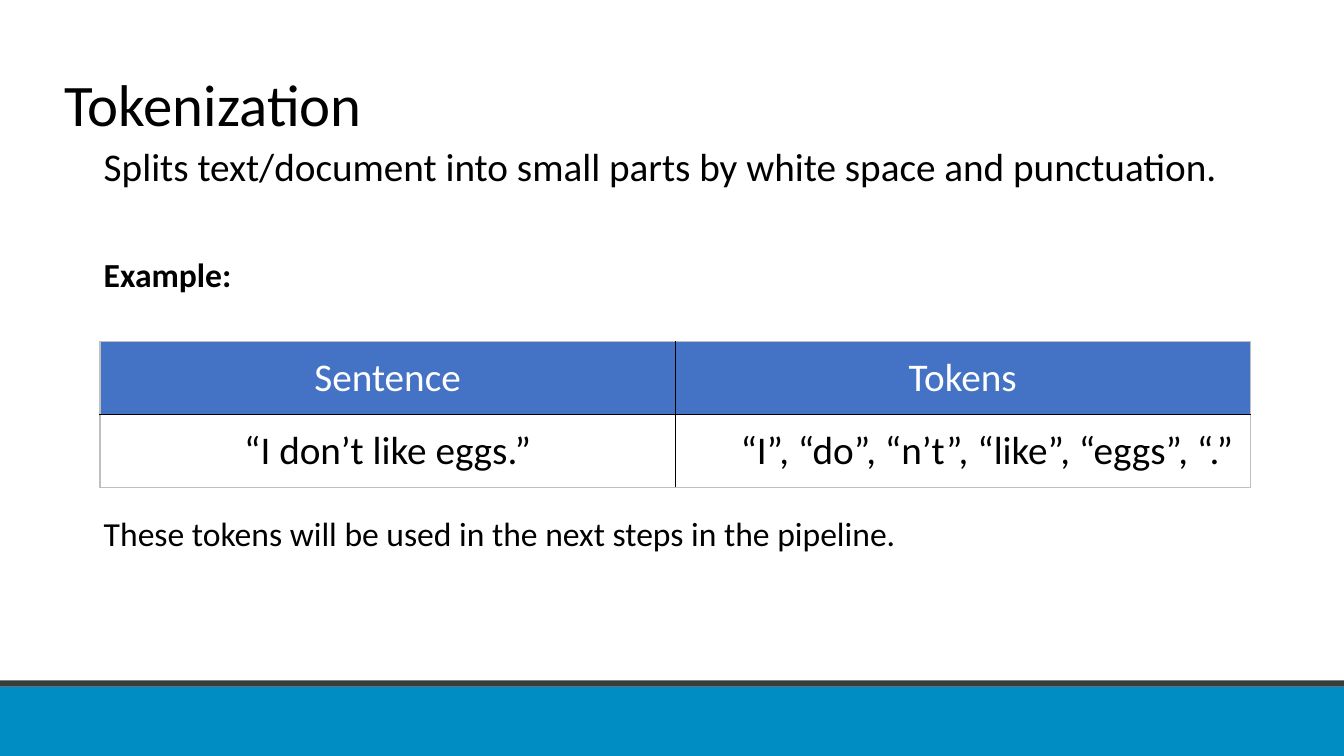
from pptx import Presentation
from pptx.dml.color import RGBColor
from pptx.enum.shapes import MSO_SHAPE
from pptx.enum.text import MSO_ANCHOR, PP_ALIGN
from pptx.oxml import parse_xml
from pptx.oxml.ns import nsdecls
from pptx.util import Pt

THEME = {
    "font": "Calibri",
    "title": 42,
    "lead": 28,
    "detail": 24,
    "text": "000000",
    "header_text": "FFFFFF",
    "header_fill": "4472C4",
    "inner_border": "000000",
    "outer_border": "BFBFBF",
    "footer": "008DC4",
    "footer_edge": "383D3B",
}

TITLE = "Tokenization"
BODY = [
    ("Splits text/document into small parts by white space and punctuation.", "lead", False, 0),
    ("Example:", "detail", True, 48.5),
    ("These tokens will be used in the next steps in the pipeline.", "detail", False, 159.5),
]
TABLE = [
    ("Sentence", "Tokens"),
    ("“I don’t like eggs.”", "“I”, “do”, “n’t”, “like”, “eggs”, “.”"),
]
FOOTER_BARS = [
    ("footer", (-1.5, 490.5, 963.5, 49.5)),
    ("footer_edge", (-1, 486, 962, 4.5)),
]
TITLE_AREA = (39, 37.5, 828, 78.5)
BODY_AREA = (67, 102, 854, 384)
TABLE_AREA = (71.5, 244, 821.5, 104)
TOKENS_INDENT = (70.5, -36)


def color(name):
    return RGBColor.from_string(THEME[name])


def points(lengths):
    return [Pt(length) for length in lengths]


def style(paragraph, size, color_name="text", bold=False):
    for run in paragraph.runs:
        run.font.name = THEME["font"]
        run.font.size = Pt(THEME[size])
        run.font.bold = bold
        run.font.color.rgb = color(color_name)


def add_text(slide, area, lines, anchor):
    text_frame = slide.shapes.add_textbox(*points(area)).text_frame
    text_frame.word_wrap = True
    text_frame.vertical_anchor = anchor
    text_frame.text = "\n".join(line[0] for line in lines)
    for paragraph, (_, size, bold, space) in zip(text_frame.paragraphs, lines):
        paragraph.line_spacing = 0.9
        if space:
            paragraph.space_before = Pt(space)
        style(paragraph, size, bold=bold)


def add_borders(cell, inner_sides):
    properties = cell._tc.get_or_add_tcPr()
    for index, side in enumerate(("L", "R", "T", "B")):
        name = "inner_border" if side in inner_sides else "outer_border"
        properties.insert(index, parse_xml(
            f'<a:ln{side} {nsdecls("a")} w="{Pt(1)}"><a:solidFill>'
            f'<a:srgbClr val="{THEME[name]}"/></a:solidFill></a:ln{side}>'
        ))


def add_table(slide):
    row_count, column_count = len(TABLE), len(TABLE[0])
    table = slide.shapes.add_table(row_count, column_count, *points(TABLE_AREA)).table
    table.horz_banding = False
    for row_index, row in enumerate(TABLE):
        header = row_index == 0
        for column_index, text in enumerate(row):
            cell = table.cell(row_index, column_index)
            cell.text_frame.text = text
            cell.vertical_anchor = MSO_ANCHOR.MIDDLE
            paragraph = cell.text_frame.paragraphs[0]
            paragraph.alignment = PP_ALIGN.CENTER
            style(paragraph, "lead", "header_text" if header else "text")
            if header:
                cell.fill.solid()
                cell.fill.fore_color.rgb = color("header_fill")
            else:
                cell.fill.background()
            add_borders(cell, ("R" if column_index == 0 else "L") + ("B" if header else "T"))
    margin, indent = points(TOKENS_INDENT)
    properties = table.cell(1, 1).text_frame.paragraphs[0]._p.get_or_add_pPr()
    properties.set("marL", str(margin))
    properties.set("indent", str(indent))


def main():
    presentation = Presentation()
    presentation.slide_width, presentation.slide_height = Pt(960), Pt(540)
    slide = presentation.slides.add_slide(presentation.slide_layouts[6])
    for name, area in FOOTER_BARS:
        bar = slide.shapes.add_shape(MSO_SHAPE.RECTANGLE, *points(area))
        bar.shadow.inherit = False
        bar.fill.solid()
        bar.fill.fore_color.rgb = color(name)
        bar.line.fill.background()
    add_text(slide, TITLE_AREA, [(TITLE, "title", False, 0)], MSO_ANCHOR.MIDDLE)
    add_text(slide, BODY_AREA, BODY, MSO_ANCHOR.TOP)
    add_table(slide)
    presentation.save("out.pptx")


if __name__ == "__main__":
    main()
